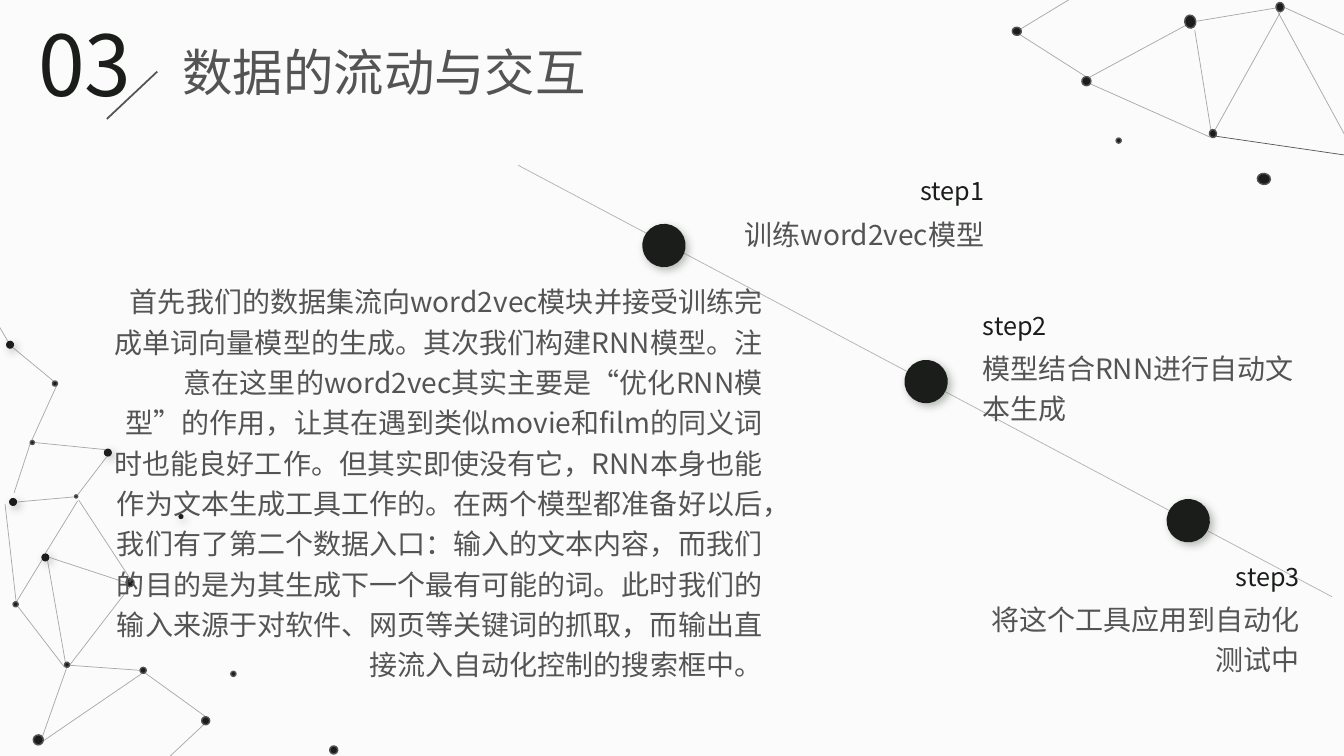
from lxml import etree
from pptx import Presentation
from pptx.dml.color import RGBColor
from pptx.enum import lang, shapes, text
from pptx.oxml.ns import qn
from pptx.util import Inches, Pt

INK = RGBColor(0x1A, 0x1D, 0x1A)
GRAY = RGBColor(0x54, 0x54, 0x54)
PAPER = RGBColor(0xFB, 0xFB, 0xFB)
SHADE = RGBColor(0x50, 0x59, 0x50)
LEFT, RIGHT, JUST = text.PP_ALIGN.LEFT, text.PP_ALIGN.RIGHT, text.PP_ALIGN.JUSTIFY

# Lines: x1, y1, x2, y2
TOP_NET = [
    (11.87, 0.21, 12.65, 0.08), (13.69, 0.51, 12.73, 0.07),
    (13.48, 1.6, 12.67, 0.11), (12.7, 0.12, 12.05, 1.29),
    (12.01, 1.29, 11.85, 0.3), (10.8, 0.77, 11.82, 0.22),
    (10.81, 0.83, 12, 1.36), (10.11, 0.34, 10.77, 0.76),
    (10.12, 0.29, 10.86, -0.16),
]
LEFT_NET = [
    (0.34, 4.39, 1.04, 4.46), (0.13, 3.45, 0.53, 3.78),
    (0.56, 3.83, 0.31, 4.38), (0.3, 4.4, 0.14, 4.89),
    (0.17, 4.98, 0.73, 4.93), (0.45, 5.49, 0.77, 4.97),
    (0.05, 5, 0.16, 5.97), (0.42, 5.55, 0.14, 6.01),
    (0.47, 5.55, 0.65, 6.58), (1.29, 5.74, 0.78, 4.96),
    (0.64, 6.62, 0.18, 6.02), (0.42, 7.31, 0.66, 6.63),
    (0.49, 5.53, 1.25, 5.78), (0.77, 4.91, 1.06, 4.53),
    (1.29, 5.82, 0.69, 6.6), (0.69, 6.6, 1.39, 6.65),
    (1.43, 6.67, 2.04, 7.11), (1.41, 6.68, 0.43, 7.35),
    (-0.31, 2.72, 0.08, 3.39), (2.03, 7.18, 1.39, 7.78),
]
# Dots: left, top, width, height
TILTED = [
    (12.65, 0.03, 0.09, 0.08), (11.99, 1.29, 0.08, 0.07),
    (10.73, 0.76, 0.09, 0.09), (11.74, 0.16, 0.13, 0.11),
]
RINGED = [
    (12.47, 1.72, 0.13, 0.11), (10.04, 0.27, 0.09, 0.08),
    (11.07, 1.37, 0.05, 0.05), (0.33, 7.29, 0.1, 0.1),
    (0.52, 3.78, 0.05, 0.05), (0.64, 6.57, 0.05, 0.05),
    (1.25, 5.74, 0.08, 0.08), (0.3, 4.37, 0.04, 0.04),
    (0.74, 4.91, 0.03, 0.03), (0.13, 5.97, 0.05, 0.05),
    (1.39, 6.62, 0.06, 0.06), (2, 7.11, 0.08, 0.08),
    (3.27, 7.4, 0.08, 0.08), (2.29, 6.66, 0.05, 0.05),
]
SHADED = [
    (6.37, 2.22, 0.43, 0.43), (8.97, 3.57, 0.43, 0.43),
    (11.57, 4.95, 0.43, 0.43), (0.06, 3.38, 0.08, 0.08),
    (0.09, 4.94, 0.08, 0.08), (0.41, 5.49, 0.08, 0.08),
    (1.77, 5.1, 0.05, 0.05), (1.03, 4.45, 0.08, 0.08),
]
# Steps: name, its left and top, words, their left, top and height, alignment
STEPS = [
    ("step1", 8.46, 1.69, "训练word2vec模型", 6.35, 2.04, 0.47, RIGHT),
    ("step2", 9.65, 3.03, "模型结合RNN进行自动文本生成", 9.65, 3.37, 0.87, LEFT),
    ("step3", 11.59, 5.52, "将这个工具应用到自动化测试中", 9.48, 5.86, 0.91, RIGHT),
]
STORY = (
    "首先我们的数据集流向word2vec模块并接受训练完成单词向量模型的生成。"
    "其次我们构建RNN模型。注意在这里的word2vec其实主要是“优化RNN模型”的作用，"
    "让其在遇到类似movie和film的同义词时也能良好工作。"
    "但其实即使没有它，RNN本身也能作为文本生成工具工作的。"
    "在两个模型都准备好以后，我们有了第二个数据入口：输入的文本内容，"
    "而我们的目的是为其生成下一个最有可能的词。"
    "此时我们的输入来源于对软件、网页等关键词的抓取，"
    "而输出直接流入自动化控制的搜索框中。"
)


def write(shape, words, size=20, color=GRAY, align=LEFT, space=1.2):
    """Fill a shape with one formatted paragraph."""
    frame = shape.text_frame
    frame.word_wrap = True
    frame.auto_size = text.MSO_AUTO_SIZE.SHAPE_TO_FIT_TEXT
    frame.vertical_anchor = text.MSO_ANCHOR.TOP
    para = frame.paragraphs[0]
    para.alignment, para.line_spacing = align, space
    run = para.add_run()
    run.text = words
    font = run.font
    font.name, font.size, font.color.rgb = Deck.FONT, Pt(size), color
    font.language_id = lang.MSO_LANGUAGE_ID.SIMPLIFIED_CHINESE
    etree.SubElement(font._element, qn("a:ea"), typeface=Deck.FONT)


def fade(node, share):
    """Make the colours inside an XML node partly transparent."""
    for color in node.iter(qn("a:srgbClr")):
        etree.SubElement(color, qn("a:alpha"), val=str(share * 1000))


class Deck:
    FONT = "Noto Sans CJK SC"

    def __init__(self):
        self.show = Presentation()
        self.show.slide_width, self.show.slide_height = Inches(13.33), Inches(7.5)
        self.slide = self.show.slides.add_slide(self.show.slide_layouts[5])
        fill = self.slide.background.fill
        fill.solid()
        fill.fore_color.rgb = PAPER

    def title(self, words, x, y, w, h, **style):
        box = self.slide.shapes.title
        box.left, box.top, box.width, box.height = map(Inches, (x, y, w, h))
        write(box, words, **style)

    def text(self, words, x, y, w, h, host=None, **style):
        home = host or self.slide
        box = (home if host else home.shapes).add_textbox(*map(Inches, (x, y, w, h)))
        write(box, words, **style)

    def line(self, x1, y1, x2, y2, width=0.5, share=100):
        link = self.slide.shapes.add_connector(
            shapes.MSO_CONNECTOR.STRAIGHT, *map(Inches, (x1, y1, x2, y2)))
        link.line.color.rgb = GRAY
        link.line.width = Pt(width)
        props = link._element.spPr
        if share < 100:
            fade(props, share)
        etree.SubElement(props, qn("a:effectLst"))

    def dot(self, x, y, w, h, turn=186.2, shade=False):
        dot = self.slide.shapes.add_shape(
            shapes.MSO_SHAPE.OVAL, *map(Inches, (x, y, w, h)))
        dot.rotation = turn
        dot.fill.solid()
        dot.fill.fore_color.rgb = INK
        dot.shadow.inherit = False
        if shade:
            dot.line.fill.background()
            self.shade(dot)
        else:
            dot.line.color.rgb = GRAY
            dot.line.width = Pt(1)

    def shade(self, dot):
        """Add a soft shadow to the lower right."""
        effects = dot._element.spPr.find(qn("a:effectLst"))
        drop = etree.SubElement(
            effects, qn("a:outerShdw"), blurRad=str(Pt(6)), dist=str(Pt(3)),
            dir=str(45 * 60000), algn="tl", rotWithShape="0")
        etree.SubElement(drop, qn("a:srgbClr"), val=str(SHADE))
        fade(drop, 40)

    def step(self, name, x, y, words, left, top, high, align):
        group = self.slide.shapes.add_group_shape().shapes
        self.text(name, x, y, 1.4, 0.4, group, size=18, color=INK, align=align, space=1)
        self.text(words, left, top, 3.51, high, group, align=align)


def main():
    deck = Deck()
    deck.title("数据的流动与交互", 1.59, 0.24, 4.32, 0.83, size=36, align=RIGHT)
    deck.line(5.14, 1.64, 13.21, 5.92, share=43)
    deck.line(13.42, 1.55, 12.05, 1.35)
    for ends in TOP_NET + LEFT_NET:
        deck.line(*ends, share=50)
    for spot in TILTED:
        deck.dot(*spot, turn=82)
    for spot in RINGED:
        deck.dot(*spot)
    for spot in SHADED:
        deck.dot(*spot, shade=True)
    for step in STEPS:
        deck.step(*step)
    deck.text("03", 0.28, 0.07, 1.14, 1.11, size=60, color=INK, align=JUST, space=1)
    deck.line(1.56, 0.71, 1.06, 1.18, width=1.25)
    deck.text(STORY, 0.92, 2.71, 6.74, 4.14, align=RIGHT)
    deck.show.save("out.pptx")


if __name__ == "__main__":
    main()
